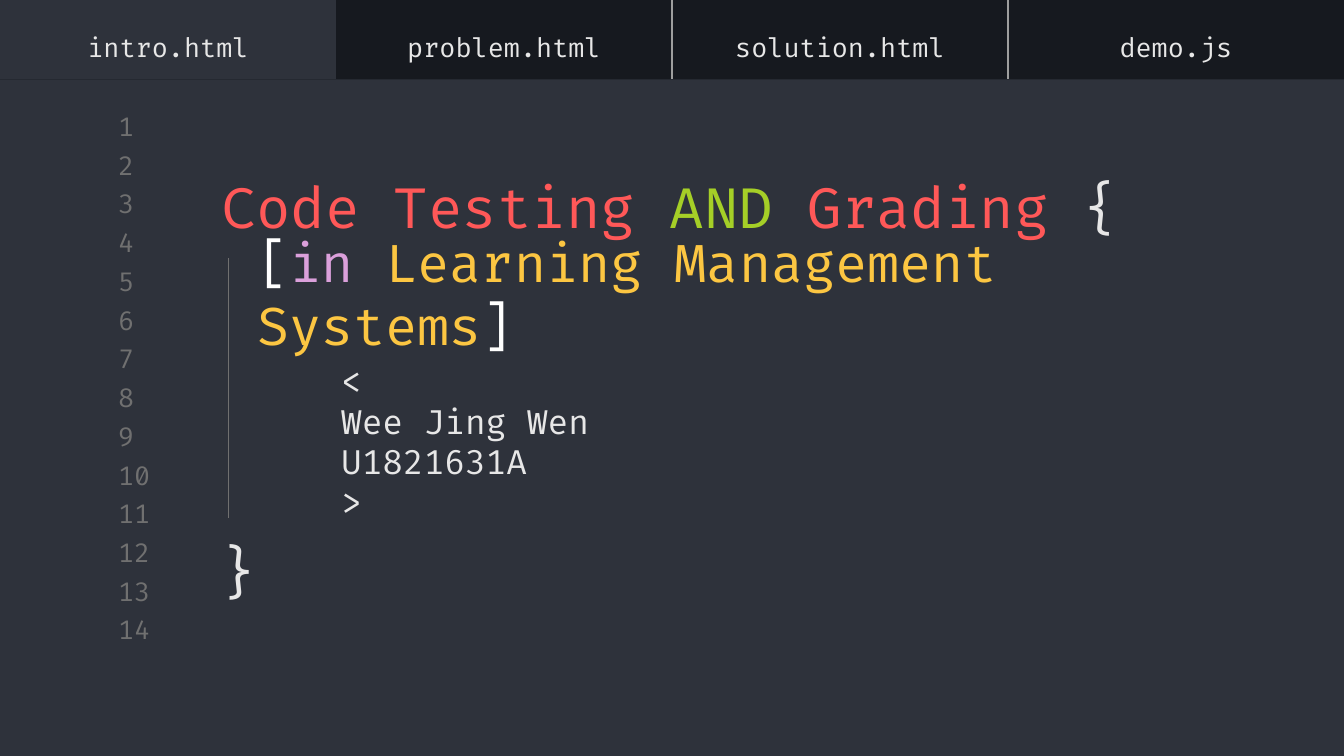
"""Build a title slide styled as a code editor with file tabs."""
from lxml import etree
from pptx import Presentation
from pptx import util as u
from pptx.dml import color
from pptx.enum import shapes, text
from pptx.oxml import ns

Pt = u.Pt
DARK, PANEL, GREY, RULE = "16191F", "2E323B", "707070", "9E9E9E"
LIGHT, WHITE, RED, GREEN = "E7E7E7", "FFFFFF", "FF5858", "A5CF27"
PINK, GOLD = "DBA0DB", "FCC642"


def rgb(code):
    return color.RGBColor.from_string(code)


class Editor:
    font = "Fira Code"
    left = text.PP_ALIGN.LEFT
    mid = text.MSO_ANCHOR.MIDDLE

    def __init__(self, slide):
        self.slide = slide
        self.shapes = slide.shapes
        fill = slide.background.fill
        fill.solid()
        fill.fore_color.rgb = rgb(DARK)

    def fill_text(self, frame, lines, size, align=left):
        for i, line in enumerate(lines):
            para = frame.add_paragraph() if i else frame.paragraphs[0]
            para.alignment = align
            para.space_before = Pt(0)
            para.font.name = self.font
            para.font.size = Pt(size)
            para.font.bold = False
            for words, tone in line:
                run = para.add_run()
                run.text = words
                run.font.color.rgb = rgb(tone)

    def inset(self, item):
        item.margin_left = item.margin_right = Pt(7.2)
        item.margin_top = item.margin_bottom = Pt(7.2)

    def fit(self, shape, box, lines, size, anchor=mid):
        shape.left, shape.top, shape.width, shape.height = map(Pt, box)
        frame = shape.text_frame
        frame.word_wrap = True
        frame.auto_size = text.MSO_AUTO_SIZE.NONE
        frame.vertical_anchor = anchor
        self.inset(frame)
        self.fill_text(frame, lines, size)

    def label(self, box, lines, size, anchor=mid):
        shape = self.shapes.add_textbox(*map(Pt, box))
        self.fit(shape, box, lines, size, anchor)

    def panel(self, box):
        shape = self.shapes.add_shape(shapes.MSO_SHAPE.RECTANGLE, *map(Pt, box))
        shape.shadow.inherit = False
        shape.fill.solid()
        shape.fill.fore_color.rgb = rgb(PANEL)
        shape.line.fill.background()
        self.shapes._spTree.insert(2, shape._element)

    def rule(self, *ends):
        line = self.shapes.add_connector(shapes.MSO_CONNECTOR.STRAIGHT, *map(Pt, ends))
        line.line.color.rgb = rgb(GREY)
        line.line.width = Pt(0.75)
        etree.SubElement(line._element.spPr, ns.qn("a:effectLst"))

    def edge(self, cell, side, tone):
        props = cell._tc.get_or_add_tcPr()
        line = etree.SubElement(props, ns.qn("a:ln" + side), w=str(Pt(0.75)))
        if tone:
            fill = etree.SubElement(line, ns.qn("a:solidFill"))
            etree.SubElement(fill, ns.qn("a:srgbClr"), val=tone)
        else:
            etree.SubElement(line, ns.qn("a:noFill"))

    def tabs(self, box, names):
        table = self.shapes.add_table(1, len(names), *map(Pt, box)).table
        table.first_row = table.horz_banding = False
        last = len(names) - 1
        for i, name in enumerate(names):
            cell = table.cell(0, i)
            tones = {"L": i > 1, "R": 0 < i < last, "T": False, "B": False}
            for side, shown in tones.items():
                self.edge(cell, side, RULE if shown else None)
            cell.fill.solid()
            cell.fill.fore_color.rgb = rgb(DARK if i else PANEL)
            cell.vertical_anchor = text.MSO_ANCHOR.BOTTOM
            self.inset(cell)
            self.fill_text(cell.text_frame, [[(name, LIGHT)]], 14, text.PP_ALIGN.CENTER)


def main():
    deck = Presentation()
    deck.slide_width, deck.slide_height = Pt(720), Pt(405)
    slide = deck.slides.add_slide(deck.slide_layouts[0])
    page = Editor(slide)
    title, sub = slide.placeholders

    page.panel((0, 42.5, 720, 362.5))
    for i in range(14):
        page.label((56.2, 59 + 20.75 * i, 34, 17), [[(str(i + 1), GREY)]], 14)

    page.fit(title, (111.6, 90, 501, 41),
             [[("Code Testing ", RED), ("AND ", GREEN), ("Grading ", RED), ("{", LIGHT)]], 30)
    page.fit(sub, (130.5, 139, 561.6, 36),
             [[("[", WHITE), ("in ", PINK), ("Learning Management Systems", GOLD),
               ("]", WHITE)]], 28)
    names = ["<", "Wee Jing Wen", "U1821631A", ">"]
    page.label((175.7, 192.2, 488, 88), [[(name, LIGHT)] for name in names], 18)

    page.rule(122.4, 138.5, 122.4, 277.5)
    page.label((111.6, 280, 39.6, 51), [[("}", LIGHT)]], 30, text.MSO_ANCHOR.TOP)
    page.tabs((0, 0, 720, 42.5),
              ["intro.html", "problem.html", "solution.html", "demo.js"])
    deck.save("out.pptx")


if __name__ == "__main__":
    main()
